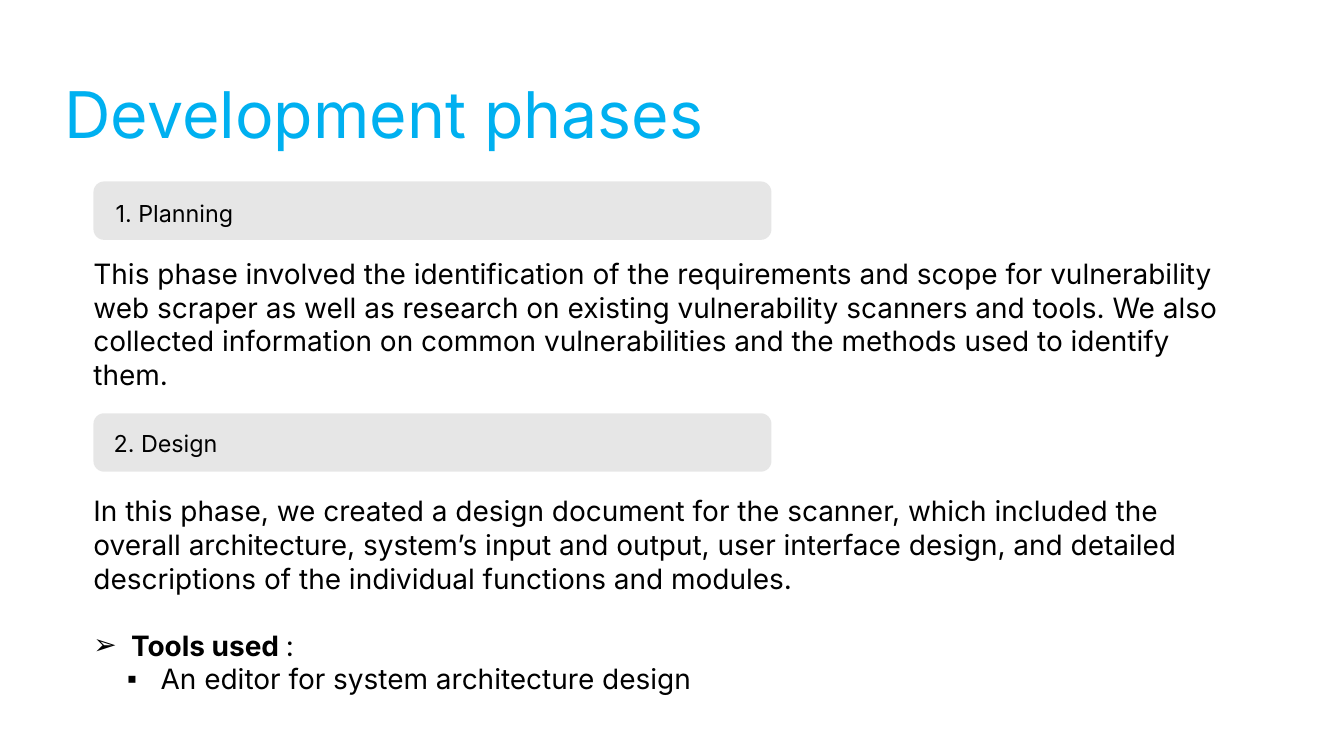
from dataclasses import dataclass

from lxml import etree
from pptx import Presentation
from pptx.dml.color import RGBColor
from pptx.enum.shapes import MSO_SHAPE
from pptx.enum.text import MSO_ANCHOR, MSO_AUTO_SIZE, PP_ALIGN
from pptx.oxml.ns import qn
from pptx.util import Emu, Pt

PX = 9144
FONT = "Inter"
COLORS = {"title": "00B0F0", "text": "000000", "banner": "D9D9D9"}
ROUNDED = MSO_SHAPE.ROUNDED_RECTANGLE
TOP = MSO_ANCHOR.TOP
LEFT = PP_ALIGN.LEFT
NO_AUTOSIZE = MSO_AUTO_SIZE.NONE
MARGIN = 139
BANNER_WIDTH, BANNER_HEIGHT, BANNER_RADIUS = 1009, 87, 16
BODY_SIZE = 30


@dataclass(frozen=True)
class Area:
    left: int
    top: int
    width: int
    height: int


@dataclass(frozen=True)
class Phase:
    heading: str
    banner_top: int
    heading_area: Area


@dataclass(frozen=True)
class Item:
    spans: tuple[tuple[str, bool], ...]
    level: int = 0
    margin: int = 0
    indent: int = 0
    bullet: str = ""
    space_before: int = 0


PHASES = [
    Phase("1. Planning", 270, Area(142, 289, 937, 45)),
    Phase("2. Design", 615, Area(139, 631, 937, 46)),
]
PLANNING = Item(((
    "This phase involved the identification of the requirements and scope for "
    "vulnerability web scraper as well as research on existing vulnerability "
    "scanners and tools. We also collected information on common "
    "vulnerabilities and the methods used to identify them.", False),))
DESIGN = [
    Item(((
        "In this phase, we created a design document for the scanner, which "
        "included the overall architecture, system’s input and output, user "
        "interface design, and detailed descriptions of the individual "
        "functions and modules.", False),)),
    Item((("Tools used ", True), (":", False)), 0, 56, -56, "➢", 36),
    Item((("An editor for system architecture design", False),), 1, 100, -50, "▪"),
]


def px(length: int) -> Emu:
    return Emu(length * PX)


def prepare_box(box, area: Area):
    box.left, box.top = px(area.left), px(area.top)
    box.width, box.height = px(area.width), px(area.height)
    frame = box.text_frame
    frame.margin_left = frame.margin_right = 0
    frame.margin_top = frame.margin_bottom = 0
    frame.word_wrap = True
    frame.auto_size = NO_AUTOSIZE
    frame.vertical_anchor = TOP
    return frame


def add_text_frame(page, area: Area):
    return prepare_box(page.shapes.add_textbox(0, 0, 0, 0), area)


def format_span(span, size: int, color: str, bold: bool = False) -> None:
    span.font.name = FONT
    span.font.size = Pt(size)
    span.font.bold = bold
    span.font.color.rgb = RGBColor.from_string(COLORS[color])


def set_indent(para, margin: int, indent: int, bullet: str = "") -> None:
    properties = para._p.get_or_add_pPr()
    properties.set("marL", str(px(margin)))
    properties.set("indent", str(px(indent)))
    if bullet:
        etree.SubElement(properties, qn("a:buChar")).set("char", bullet)
    else:
        etree.SubElement(properties, qn("a:buNone"))


def write_line(frame, text: str, size: int, color: str, spacing: float):
    frame.text = text
    para = frame.paragraphs[0]
    para.alignment = LEFT
    para.line_spacing = Pt(spacing)
    format_span(para.runs[0], size, color)
    return para


def write_items(frame, items: list[Item]) -> None:
    for index, item in enumerate(items):
        para = frame.add_paragraph() if index else frame.paragraphs[0]
        para.level = item.level
        para.alignment = LEFT
        para.line_spacing = 1.0
        para.space_before = Pt(item.space_before)
        para.space_after = Pt(0)
        set_indent(para, item.margin, item.indent, item.bullet)
        for text, bold in item.spans:
            span = para.add_run()
            span.text = text
            format_span(span, BODY_SIZE, "text", bold)


def draw_phase(page, phase: Phase) -> None:
    banner = page.shapes.add_shape(
        ROUNDED, px(MARGIN), px(phase.banner_top), px(BANNER_WIDTH), px(BANNER_HEIGHT))
    banner.shadow.inherit = False
    banner.adjustments[0] = BANNER_RADIUS / BANNER_HEIGHT
    banner.line.fill.background()
    banner.fill.solid()
    banner.fill.fore_color.rgb = RGBColor.from_string(COLORS["banner"])
    color = banner._element.spPr.find(qn("a:solidFill")).find(qn("a:srgbClr"))
    etree.SubElement(color, qn("a:alpha")).set("val", "64000")

    frame = add_text_frame(page, phase.heading_area)
    para = write_line(frame, phase.heading, 25, "text", 35)
    para.level = 1
    set_indent(para, 30, 0)


def main() -> None:
    deck = Presentation()
    deck.slide_width, deck.slide_height = px(2000), px(1125)
    page = deck.slides.add_slide(deck.slide_layouts[1])

    title = prepare_box(page.shapes.title, Area(96, 110, 1221, 110))
    write_line(title, "Development phases", 69, "title", 82.8)

    for phase in PHASES:
        draw_phase(page, phase)

    write_items(add_text_frame(page, Area(MARGIN, 382, 1700, 303)), [PLANNING])
    body = prepare_box(page.placeholders[1], Area(MARGIN, 735, 1700, 303))
    write_items(body, DESIGN)

    deck.save("out.pptx")


if __name__ == "__main__":
    main()
